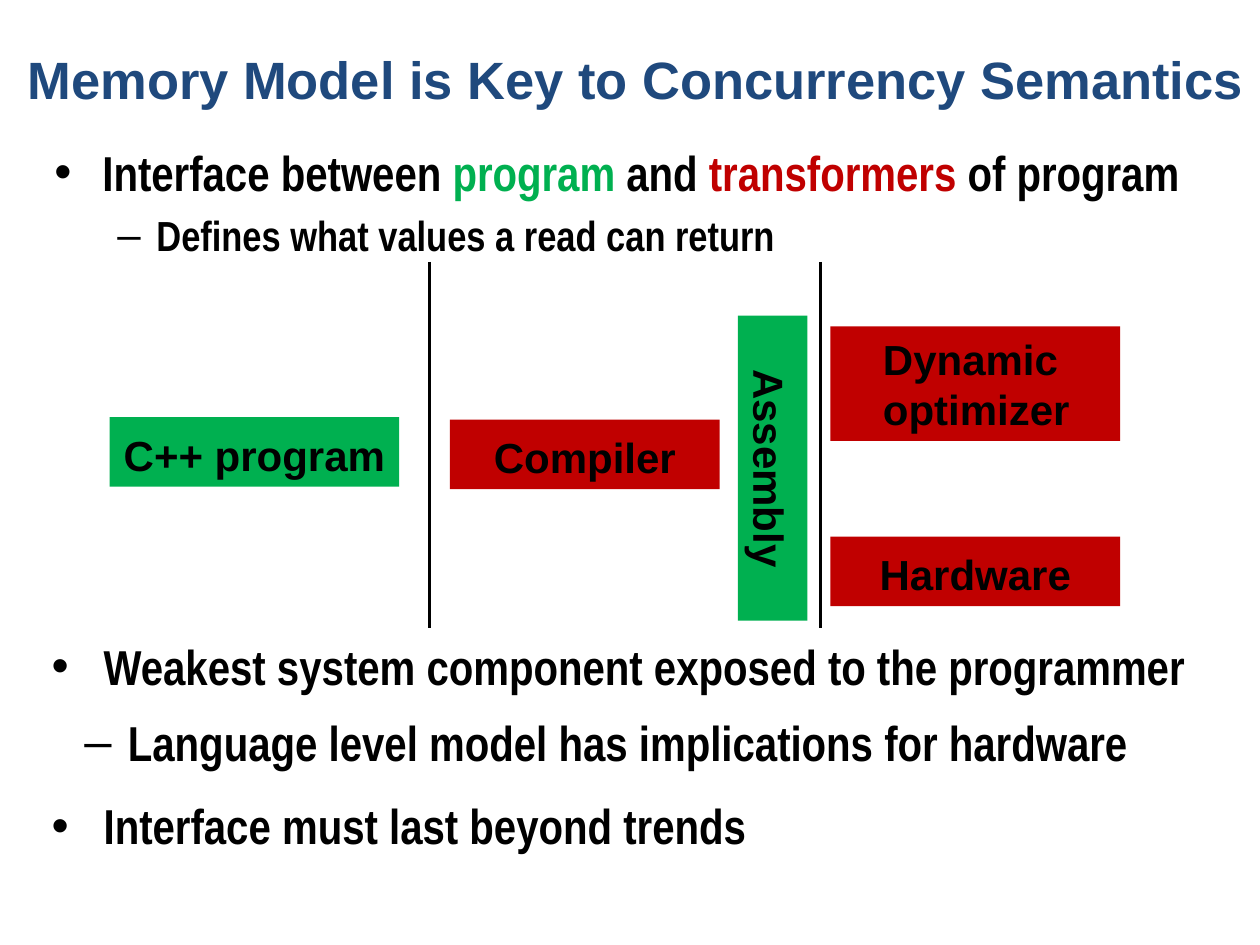
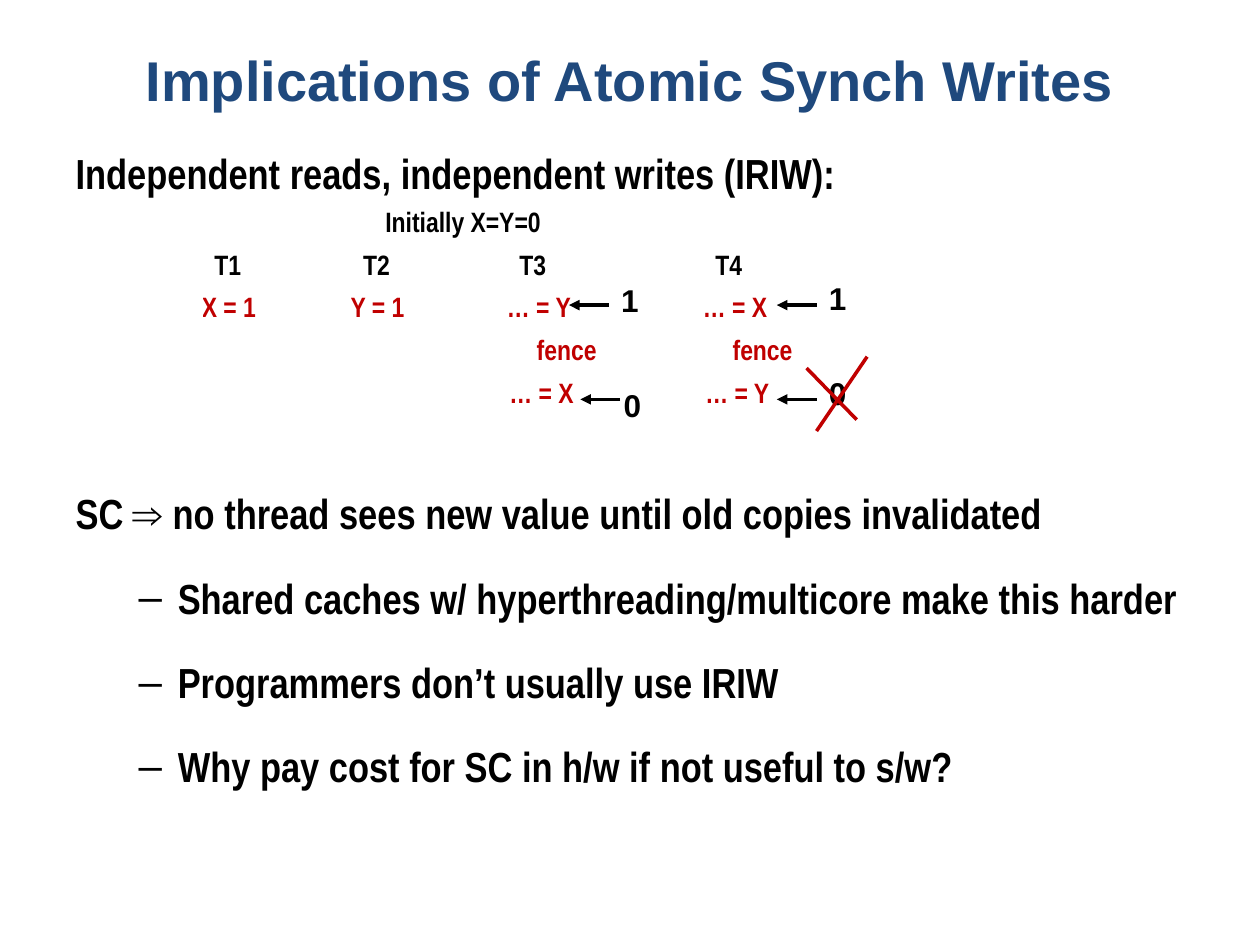
from lxml import etree
from pptx import Presentation
from pptx.dml.color import RGBColor
from pptx.enum.shapes import MSO_CONNECTOR, MSO_SHAPE
from pptx.enum.text import MSO_ANCHOR, MSO_AUTO_SIZE, PP_ALIGN
from pptx.oxml.ns import qn
from pptx.util import Cm, Pt

STRAIGHT = MSO_CONNECTOR.STRAIGHT
RECTANGLE = MSO_SHAPE.RECTANGLE
MIDDLE, TOP = MSO_ANCHOR.MIDDLE, MSO_ANCHOR.TOP
NO_AUTOFIT = MSO_AUTO_SIZE.NONE
LEFT, CENTER = PP_ALIGN.LEFT, PP_ALIGN.CENTER

NAVY = RGBColor(0x1F, 0x49, 0x7D)
BLACK = RGBColor(0, 0, 0)
GREEN = RGBColor(0, 0xB0, 0x50)
RED = RGBColor(0xC0, 0, 0)
HEADING_FONT, BODY_FONT = "Arial", "Arial Narrow"

INTERFACE_LIST = [
    dict(spans=[("Interface between ", BLACK), ("program", GREEN), (" and ", BLACK),
                ("transformers ", RED), ("of program", BLACK)],
         size=28, before=5.6, bullet="•", margin=0.97, hang=0.97),
    dict(spans=[("Defines what values a read can return", BLACK)],
         size=24, before=4.8, level=1, bullet="–", margin=2.06, hang=0.79),
]
WEAKEST_LIST = [
    dict(spans=[("Weakest system component exposed to the programmer", BLACK)],
         size=28, before=10, bullet="•", margin=1.05, hang=1.05),
    dict(spans=[("Language level model has implications for hardware", BLACK)],
         size=28, before=10, level=1, bullet="–", margin=1.54, hang=0.88),
    dict(spans=[("Interface must last beyond trends", BLACK)],
         size=28, before=14, bullet="•", margin=1.05, hang=1.05),
]
COMPONENTS = [
    ("C++ program", GREEN, (2.21, 8.41, 5.84, 1.4), 0),
    ("Compiler", RED, (9.07, 8.46, 5.44, 1.4), 0),
    ("Dynamic\noptimizer", RED, (16.74, 6.58, 5.84, 2.31), 0),
    ("Hardware", RED, (16.74, 10.82, 5.84, 1.4), 0),
    ("Assembly", GREEN, (12.5, 8.74, 6.15, 1.4), 90),
]
TWO_LINE_INSET = 1.06
DIVIDERS = [8.66, 16.54]
DIVIDER_TOP, DIVIDER_BOTTOM = 5.28, 12.65

THREADS_LEFT, THREADS_TOP = 4.07, 4.11
THREAD_WIDTHS = [3, 3.15, 3.95, 3]
THREAD_ROW_HEIGHT = 0.86
THREAD_ROWS = [
    (0.7, BLACK, ["", "Initially X=Y=0", "", ""]),
    (0.25, BLACK, ["T1", "T2", "T3", "T4"]),
    (0, RED, ["X = 1", "Y = 1", "… = Y", "… = X"]),
    (0.6, RED, ["", "", "fence", "fence"]),
    (0.05, RED, ["", "", "… = X", "… = Y"]),
]
SC_COSTS = [
    "Shared caches w/ hyperthreading/multicore make this harder",
    "Programmers don’t usually use IRIW",
    "Why pay cost for SC in h/w if not useful to s/w?",
]
IRIW_LIST = [
    dict(spans=[("Independent reads, independent writes (IRIW):", BLACK)],
         size=24, before=5, spacing=1.1),
    dict(spans=[("SC ⇒ no thread sees new value until old copies invalidated", BLACK)],
         size=24, before=163, spacing=1.1),
    *[dict(spans=[(cost, BLACK)], size=24, before=5, spacing=1.5, level=1,
           bullet="–", margin=2.06, hang=0.79) for cost in SC_COSTS],
]
READ_VALUES = [
    ("1", (12.27, 5.54), (12.27, 6.15)),
    ("1", (16.46, 5.51), (16.46, 6.15)),
    ("0", (12.32, 7.65), (12.5, 8.05)),
    ("0", (16.46, 7.42), (16.46, 8.05)),
]
ARROW_LENGTH = 0.8
CROSS_STROKES = [((16.46, 8.69), (17.48, 7.19)), ((16.26, 7.42), (17.27, 8.46))]


def add_span(para, text, size, color, font):
    span = para.add_run()
    span.text = text
    span.font.size = Pt(size)
    span.font.bold = True
    span.font.name = font
    span.font.color.rgb = color


def place(shape, left, top, width, height):
    shape.left, shape.top = Cm(left), Cm(top)
    shape.width, shape.height = Cm(width), Cm(height)


def fill_list(frame, items):
    frame.word_wrap = True
    frame.auto_size = NO_AUTOFIT
    frame.vertical_anchor = TOP
    for index, item in enumerate(items):
        para = frame.add_paragraph() if index else frame.paragraphs[0]
        para.level = item.get("level", 0)
        para.line_spacing = item.get("spacing", 1.0)
        para.space_before = Pt(item["before"])
        properties = para._p.get_or_add_pPr()
        properties.set("marL", str(Cm(item.get("margin", 0))))
        properties.set("indent", str(-Cm(item.get("hang", 0))))
        if "bullet" in item:
            etree.SubElement(properties, qn("a:buFont"), typeface=HEADING_FONT)
            etree.SubElement(properties, qn("a:buChar"), char=item["bullet"])
        else:
            etree.SubElement(properties, qn("a:buNone"))
        for text, color in item["spans"]:
            add_span(para, text, item["size"], color, BODY_FONT)


def add_page(deck, title, title_size, title_area, items, body_area):
    page = deck.slides.add_slide(deck.slide_layouts[1])
    heading = page.shapes.title
    place(heading, *title_area)
    frame = heading.text_frame
    frame.word_wrap = True
    frame.auto_size = NO_AUTOFIT
    frame.vertical_anchor = MIDDLE
    frame.paragraphs[0].alignment = CENTER
    add_span(frame.paragraphs[0], title, title_size, NAVY, HEADING_FONT)
    body = page.placeholders[1]
    place(body, *body_area)
    fill_list(body.text_frame, items)
    return page


def add_line(page, start, end, color=BLACK, arrow=False):
    points = [Cm(value) for value in (*start, *end)]
    connector = page.shapes.add_connector(STRAIGHT, *points)
    connector.line.color.rgb = color
    connector.line.width = Pt(2)
    if arrow:
        etree.SubElement(connector.line._get_or_add_ln(), qn("a:tailEnd"), type="triangle")
    etree.SubElement(connector._element.spPr, qn("a:effectLst"))


def add_component(page, label, color, area, rotation):
    box = page.shapes.add_shape(RECTANGLE, *[Cm(value) for value in area])
    box.rotation = rotation
    box.shadow.inherit = False
    box.fill.solid()
    box.fill.fore_color.rgb = color
    box.line.fill.background()
    frame = box.text_frame
    frame.word_wrap = True
    frame.vertical_anchor = MIDDLE
    para = frame.paragraphs[0]
    lines = label.split("\n")
    if len(lines) == 1:
        para.alignment = CENTER
        para.line_spacing = 1.1
    else:
        para.alignment = LEFT
        frame.margin_left = Cm(TWO_LINE_INSET)
    for index, line in enumerate(lines):
        if index:
            para.add_line_break()
        add_span(para, line, 24, BLACK, HEADING_FONT)


def add_threads(page):
    row_count, column_count = len(THREAD_ROWS), len(THREAD_WIDTHS)
    frame = page.shapes.add_table(
        row_count, column_count, Cm(THREADS_LEFT), Cm(THREADS_TOP),
        Cm(sum(THREAD_WIDTHS)), Cm(THREAD_ROW_HEIGHT * row_count))
    table = frame.table
    table.first_row = table.horz_banding = False
    for column, width in zip(table.columns, THREAD_WIDTHS):
        column.width = Cm(width)
    for row, (shift, color, texts) in zip(table.rows, THREAD_ROWS):
        row.height = Cm(THREAD_ROW_HEIGHT)
        for cell, text in zip(row.cells, texts):
            cell.fill.background()
            cell.vertical_anchor = MIDDLE
            cell.margin_left = Cm(shift)
            cell.margin_right = cell.margin_top = cell.margin_bottom = 0
            para = cell.text_frame.paragraphs[0]
            para.font.size = Pt(16)
            if text:
                add_span(para, text, 16, color, BODY_FONT)
    table.cell(0, 1).merge(table.cell(0, 2))


def build_memory_model(deck):
    page = add_page(deck, "Memory Model is Key to Concurrency Semantics", 30,
                    (-0.2, 0, 26.04, 3.18), INTERFACE_LIST, (0.84, 2.74, 24.13, 13.41))
    for component in COMPONENTS:
        add_component(page, *component)
    for x in DIVIDERS:
        add_line(page, (x, DIVIDER_TOP), (x, DIVIDER_BOTTOM))
    box = page.shapes.add_textbox(Cm(0.79), Cm(12.7), Cm(23.98), Cm(4.8))
    fill_list(box.text_frame, WEAKEST_LIST)


def build_atomic_writes(deck):
    page = add_page(deck, "Implications of Atomic Synch Writes", 32,
                    (1.27, 0, 22.86, 3.18), IRIW_LIST, (1.27, 2.74, 23.32, 14.81))
    add_threads(page)
    for value, (left, top), (x, y) in READ_VALUES:
        box = page.shapes.add_textbox(Cm(left), Cm(top), Cm(0.81), Cm(1.02))
        box.text_frame.word_wrap = False
        add_span(box.text_frame.paragraphs[0], value, 18, BLACK, HEADING_FONT)
        add_line(page, (x, y), (x - ARROW_LENGTH, y), arrow=True)
    for start, end in CROSS_STROKES:
        add_line(page, start, end, RED)


def main():
    deck = Presentation()
    deck.slide_width, deck.slide_height = Cm(25.4), Cm(19.05)
    build_memory_model(deck)
    build_atomic_writes(deck)
    deck.save("out.pptx")


if __name__ == "__main__":
    main()
